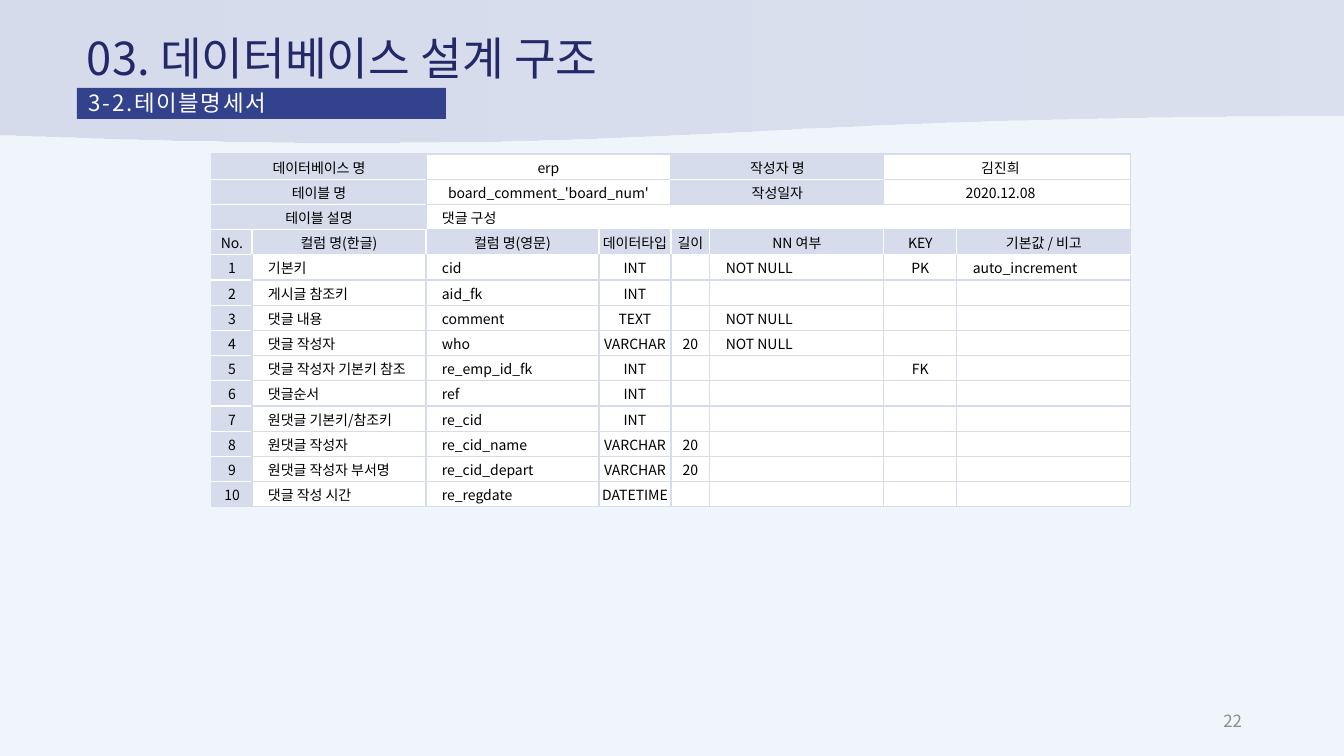
import lxml.etree
import pptx
import pptx.dml.color
import pptx.enum.shapes
import pptx.enum.text
import pptx.oxml.ns
import pptx.util

PX = 914400 / 100.8
FONT = "Noto Sans CJK KR"
LAVENDER = pptx.dml.color.RGBColor(0xD6, 0xDC, 0xEC)
PALE = pptx.dml.color.RGBColor(0xEF, 0xF5, 0xFA)
NAVY = pptx.dml.color.RGBColor(0x23, 0x28, 0x68)
BLUE = pptx.dml.color.RGBColor(0x33, 0x42, 0x8C)
GRAY = pptx.dml.color.RGBColor(0x8C, 0x8C, 0x8C)
BLACK = pptx.dml.color.RGBColor(0, 0, 0)
WHITE = pptx.dml.color.RGBColor(0xFF, 0xFF, 0xFF)

ALIGN = pptx.enum.text.PP_ALIGN
MIDDLE = pptx.enum.text.MSO_ANCHOR.MIDDLE
SHAPES = pptx.enum.shapes.MSO_SHAPE

COLUMN_WIDTHS = [40, 174, 173, 72, 39, 174, 73, 174]
LEFT_ALIGNED_COLUMNS = (1, 2, 5, 7)
HEADER_ROW = 3
MERGES = [(row, column, column + 1) for row in (0, 1) for column in (0, 2, 4, 6)]
MERGES += [(2, 0, 1), (2, 2, 7)]
ROWS = [
    ["데이터베이스 명", "", "erp", "", "작성자 명", "", "김진희　"],
    ["테이블 명", "", "board_comment_'board_num'", "", "작성일자", "", "2020.12.08　"],
    ["테이블 설명", "", "댓글 구성"],
    ["No.", "컬럼 명(한글)", "컬럼 명(영문)", "데이터타입", "길이", "NN 여부", "KEY", "기본값 / 비고"],
    ["1", "기본키", "cid", "INT", "", "NOT NULL", "PK", "auto_increment"],
    ["2", "게시글 참조키", "aid_fk", "INT"],
    ["3", "댓글 내용", "comment", "TEXT", "", "NOT NULL"],
    ["4", "댓글 작성자", "who", "VARCHAR", "20", "NOT NULL"],
    ["5", "댓글 작성자 기본키 참조", "re_emp_id_fk", "INT", "", "", "FK"],
    ["6", "댓글순서", "ref", "INT"],
    ["7", "원댓글 기본키/참조키", "re_cid", "INT"],
    ["8", "원댓글 작성자", "re_cid_name", "VARCHAR", "20"],
    ["9", "원댓글 작성자 부서명", "re_cid_depart", "VARCHAR", "20"],
    ["10", "댓글 작성 시간", "re_regdate", "DATETIME"],
]


def px(length):
    """Turn px into EMU."""
    return pptx.util.Emu(round(length * PX))


def add_element(parent, tag, **attributes):
    """Append a drawing element to a parent element."""
    return lxml.etree.SubElement(parent, pptx.oxml.ns.qn(tag), attributes)


def write(paragraph, text, size, color, align):
    """Write one styled paragraph."""
    paragraph.text = text
    paragraph.alignment = align
    font = paragraph.font
    font.size = pptx.util.Pt(size)
    font.color.rgb = color
    font.name = FONT
    add_element(font._rPr, "a:ea", typeface=FONT)


def set_margins(target, left, top, right, bottom):
    """Set the inner margins of a text frame or cell."""
    target.margin_left, target.margin_top = px(left), px(top)
    target.margin_right, target.margin_bottom = px(right), px(bottom)


def add_block(slide, preset, box):
    """Add a preset shape without line or shadow."""
    shape = slide.shapes.add_shape(preset, *map(px, box))
    shape.shadow.inherit = False
    shape.line.fill.background()
    return shape


def set_alpha(fill_element, index, percent):
    """Set the opacity of one colour in a fill."""
    colors = list(fill_element.iter(pptx.oxml.ns.qn("a:srgbClr")))
    add_element(colors[index], "a:alpha", val=str(percent * 1000))


def add_backdrop(slide, box):
    """Draw the wavy header band and the pale footer panel."""
    left, top, width, height = box
    slide.background.fill.solid()
    slide.background.fill.fore_color.rgb = PALE
    wave = add_block(slide, SHAPES.FLOWCHART_DOCUMENT, (left, top, width, 144))
    wave.fill.gradient()
    wave.fill.gradient_angle = 0
    for stop in wave.fill.gradient_stops:
        stop.color.rgb = LAVENDER
    set_alpha(wave._element.spPr, 1, 80)
    panel = add_block(slide, SHAPES.RECTANGLE, (left, top + height - 78, 302, 78))
    panel.fill.solid()
    panel.fill.fore_color.rgb = PALE
    set_alpha(panel._element.spPr, 0, 64)


def add_text(slide, box, text, size, color, align):
    """Add a wrapped, vertically centred text box."""
    frame = slide.shapes.add_textbox(*map(px, box)).text_frame
    frame.word_wrap = True
    frame.vertical_anchor = MIDDLE
    write(frame.paragraphs[0], text, size, color, align)


def add_heading(slide, box):
    """Add the title and the section bar below it."""
    left, top, width, height = box
    add_text(slide, (left, top, width, 58), "03. 데이터베이스 설계 구조", 32.4, NAVY, ALIGN.LEFT)
    section = add_block(slide, SHAPES.RECTANGLE, (left, top + height - 31, 369, 31))
    section.fill.solid()
    section.fill.fore_color.rgb = BLUE
    frame = section.text_frame
    frame.vertical_anchor = pptx.enum.text.MSO_ANCHOR.TOP
    set_margins(frame, 12, 4, 12, 5)
    paragraph = frame.paragraphs[0]
    write(paragraph, "3-2.테이블명세서", 16, WHITE, ALIGN.JUSTIFY)
    paragraph.line_spacing = 0.9
    paragraph.font._rPr.set("spc", "120")


def is_label(row, column):
    """Tell whether a grid position is a shaded label."""
    if not (0 <= row < len(ROWS) and 0 <= column < len(COLUMN_WIDTHS)):
        return False
    return (row == HEADER_ROW or column == 0 or (row < HEADER_ROW and column == 1)
            or (row < 2 and column in (4, 5)))


def set_borders(cell, row, column):
    """Draw white lines between labels and under the header, lavender elsewhere."""
    neighbours = {
        "a:lnL": (row, column - 1),
        "a:lnR": (row, column + cell.span_width),
        "a:lnT": (row - 1, column),
        "a:lnB": (row + 1, column),
    }
    properties = cell._tc.get_or_add_tcPr()
    for tag, neighbour in neighbours.items():
        under_header = {row, neighbour[0]} == {HEADER_ROW, HEADER_ROW + 1}
        between_labels = is_label(row, column) and is_label(*neighbour)
        color = WHITE if under_header or between_labels else LAVENDER
        line = add_element(properties, tag, w="12700")
        add_element(add_element(line, "a:solidFill"), "a:srgbClr", val=str(color))


def fill_cell(cell, row, column, text):
    """Style one cell and write its text."""
    label = is_label(row, column)
    indented = not label and (
        (row > HEADER_ROW and column in LEFT_ALIGNED_COLUMNS) or (row, column) == (2, 2))
    set_borders(cell, row, column)
    cell.fill.solid()
    cell.fill.fore_color.rgb = LAVENDER if label else WHITE
    cell.vertical_anchor = MIDDLE
    set_margins(cell, 16 if indented else 1, 1, 1, 0)
    paragraph = cell.text_frame.paragraphs[0]
    write(paragraph, text, 10, BLACK, ALIGN.LEFT if indented else ALIGN.CENTER)
    if not text:
        add_element(paragraph._p, "a:endParaRPr", sz="1000")


def add_specification(slide, box):
    """Add the table specification grid."""
    height = box[3]
    table = slide.shapes.add_table(len(ROWS), len(COLUMN_WIDTHS), *map(px, box)).table
    table.first_row = False
    table.horz_banding = False
    for column, width in zip(table.columns, COLUMN_WIDTHS):
        column.width = px(width)
    for row in table.rows:
        row.height = px(height / len(ROWS))
    for row, first, last in MERGES:
        table.cell(row, first).merge(table.cell(row, last))
    for row, texts in enumerate(ROWS):
        for column in range(len(COLUMN_WIDTHS)):
            text = texts[column] if column < len(texts) else ""
            fill_cell(table.cell(row, column), row, column, text)


def main():
    """Build and save the slide."""
    presentation = pptx.Presentation()
    presentation.slide_width, presentation.slide_height = px(1344), px(756)
    slide = presentation.slides.add_slide(presentation.slide_layouts[6])
    add_backdrop(slide, (0, 0, 1344, 756))
    add_text(slide, (950, 700, 302, 41), "22", 12, GRAY, ALIGN.RIGHT)
    add_specification(slide, (212, 154, sum(COLUMN_WIDTHS), 353))
    add_heading(slide, (77, 28, 862, 91))
    presentation.save("out.pptx")


if __name__ == "__main__":
    main()
